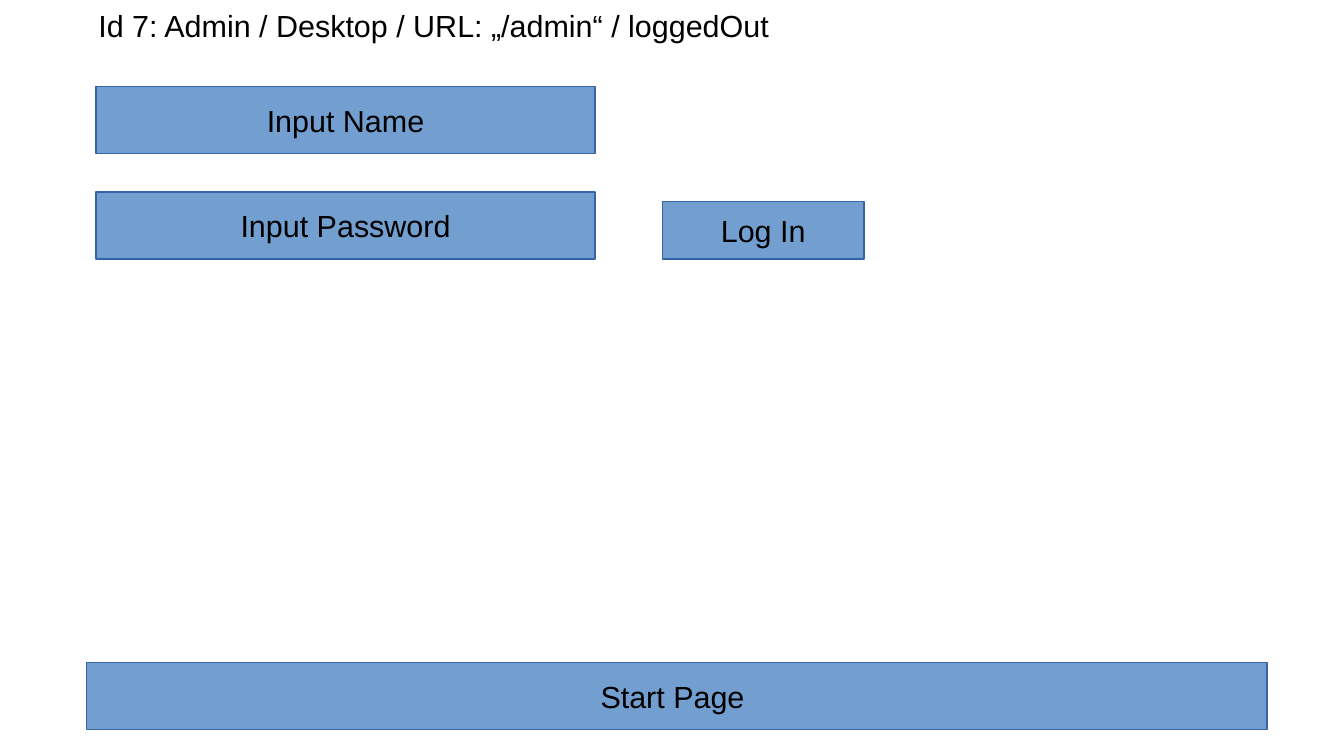
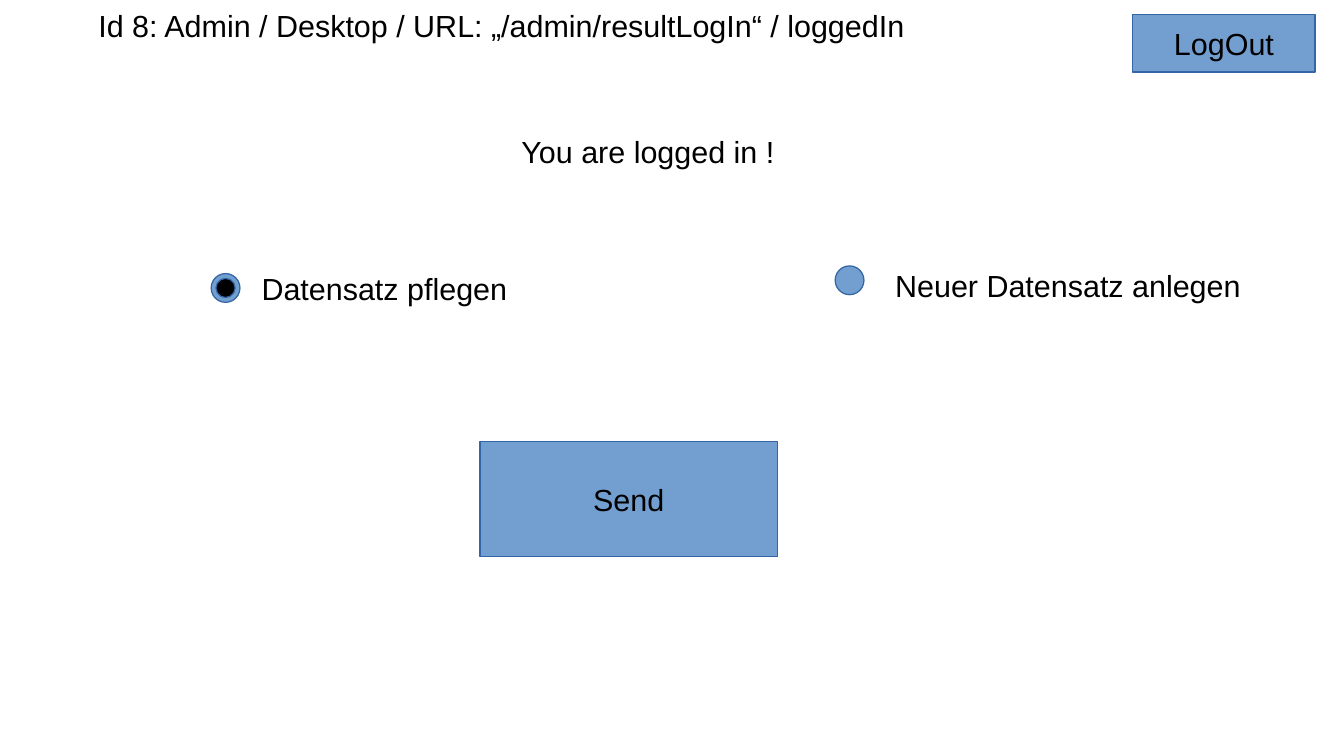
from pptx import Presentation
from pptx.dml.color import RGBColor
from pptx.enum import shapes, text
from pptx.util import Cm, Pt

# Shared look
BLUE = RGBColor(0x72, 0x9F, 0xCF)
EDGE = RGBColor(0x34, 0x65, 0xA4)
BLACK = RGBColor(0, 0, 0)
FONT = {"name": "Arial", "size": Pt(18)}
BUTTON_FRAME = {"word_wrap": False, "vertical_anchor": text.MSO_ANCHOR.MIDDLE}
LABEL_FRAME = {"word_wrap": True, "vertical_anchor": text.MSO_ANCHOR.TOP,
               "auto_size": text.MSO_AUTO_SIZE.SHAPE_TO_FIT_TEXT}
LEFT, CENTER = text.PP_ALIGN.LEFT, text.PP_ALIGN.CENTER

# Grid of 28 columns by 15.75 rows, one centimetre each
COLUMNS, ROWS = 28, 15.75
MARGIN = 1.8
FIELD_LEFT, FIELD_WIDTH, FIELD_HEIGHT = 2, 10.4, 1.4
FIELD_TOP, FIELD_STEP = 1.8, 2.2
BUTTON_HEIGHT = 1.2
RADIO, DOT = 0.6, 0.4


def grid(*cells):
    return [Cm(cell) for cell in cells]


def apply(target, values):
    for key, value in values.items():
        setattr(target, key, value)


def write(shape, words, align, frame_format):
    frame = shape.text_frame
    apply(frame, frame_format)
    paragraph = frame.paragraphs[0]
    paragraph.alignment = align
    run = paragraph.add_run()
    run.text = words
    apply(run.font, FONT)
    run.font.color.rgb = BLACK


def add_filled(slide, kind, area, fill):
    shape = slide.shapes.add_shape(kind, *grid(*area))
    shape.shadow.inherit = False
    shape.fill.solid()
    shape.fill.fore_color.rgb = fill
    shape.line.color.rgb = EDGE
    shape.line.width = Pt(0)
    return shape


def add_button(slide, words, *area):
    button = add_filled(slide, shapes.MSO_SHAPE.RECTANGLE, area, BLUE)
    write(button, words, CENTER, BUTTON_FRAME)


def add_label(slide, words, *area, align=LEFT):
    label = slide.shapes.add_textbox(*grid(*area))
    write(label, words, align, LABEL_FRAME)


def add_radio(slide, left, top, selected=False):
    circle = shapes.MSO_SHAPE.OVAL
    add_filled(slide, circle, (left, top, RADIO, RADIO), BLUE)
    if selected:
        inset = (RADIO - DOT) / 2
        add_filled(slide, circle, (left + inset, top + inset, DOT, DOT), BLACK)


def add_page(deck, title):
    slide = deck.slides.add_slide(deck.slide_layouts[6])
    add_label(slide, title, MARGIN, 0.02, 24.6, 1.55)
    return slide


def build_login(deck):
    page = add_page(deck, "Id 7: Admin / Desktop / URL: „/admin“ / loggedOut")
    for row, words in enumerate(("Input Name", "Input Password")):
        add_button(page, words, FIELD_LEFT, FIELD_TOP + row * FIELD_STEP,
                   FIELD_WIDTH, FIELD_HEIGHT)
    add_button(page, "Log In", 13.8, 4.2, 4.2, BUTTON_HEIGHT)
    add_button(page, "Start Page ", MARGIN, 13.8, 24.6, FIELD_HEIGHT)


def build_logged_in(deck):
    page = add_page(deck, "Id 8: Admin / Desktop / URL: „/admin/resultLogIn“ / loggedIn")
    add_button(page, "LogOut", 23.6, 0.3, 3.8, BUTTON_HEIGHT)
    add_label(page, "You are logged in !", 7.2, 2.65, 12.6, 1.55, align=CENTER)
    # Choice between the two actions
    add_radio(page, 4.4, 5.7, selected=True)
    add_label(page, "Datensatz pflegen", 5.2, 5.5, 6.2, 2.97)
    add_radio(page, 17.4, 5.54)
    add_label(page, "Neuer Datensatz anlegen", 18.4, 5.44, 8, 3.68)
    add_button(page, "Send", 10, 9.2, 6.2, 2.4)


def main():
    deck = Presentation()
    deck.slide_width, deck.slide_height = grid(COLUMNS, ROWS)
    build_login(deck)
    build_logged_in(deck)
    deck.save("out.pptx")


if __name__ == "__main__":
    main()
